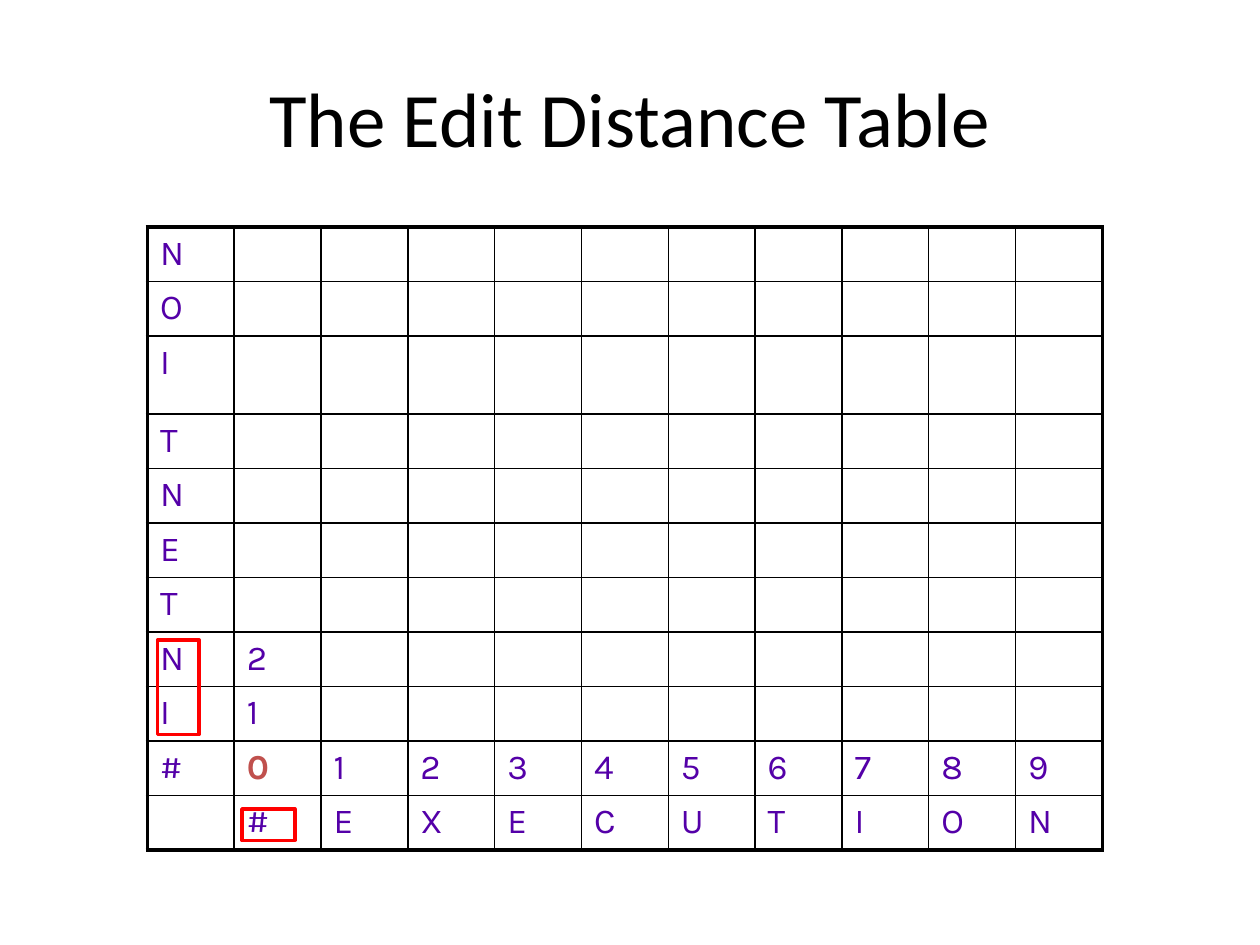
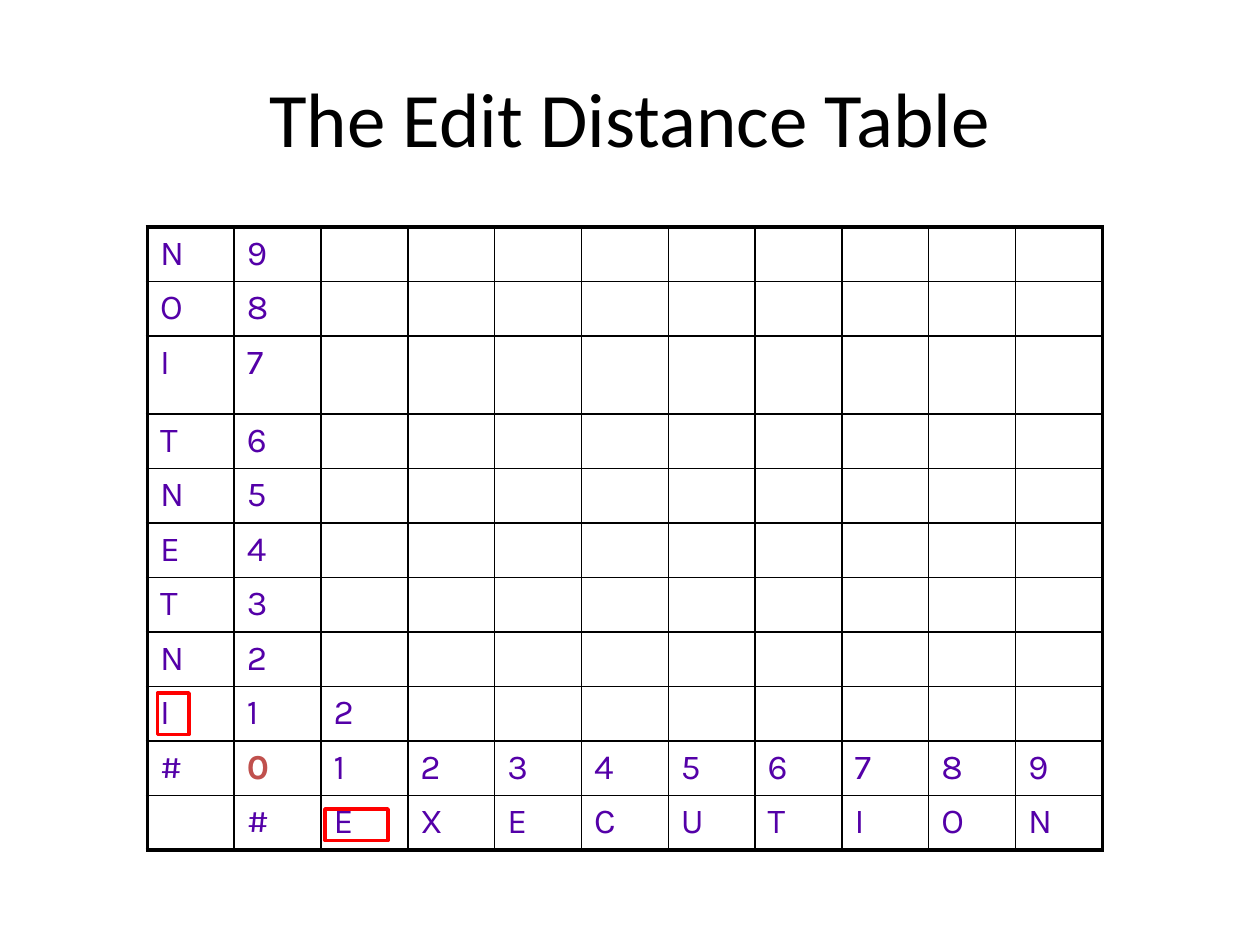
from dataclasses import dataclass

from lxml.etree import SubElement
from pptx import Presentation
from pptx.dml.color import RGBColor
from pptx.enum.shapes import MSO_SHAPE as Shape
from pptx.enum.text import MSO_ANCHOR as Anchor, PP_ALIGN as Align
from pptx.oxml.ns import qn
from pptx.util import Inches, Pt


@dataclass(frozen=True)
class Theme:
    black: str = "000000"
    letter: str = "5400A8"
    origin: str = "C0504D"
    marker: str = "FF0000"
    title_font: str = "Calibri"
    table_font: str = "Karla"
    title_size: float = 44
    table_size: float = 20
    outer_line: float = 2.25
    inner_line: float = 1
    marker_line: float = 2


SOURCE = "#INTENTION"
TARGET = "#EXECUTION"
TABLE_LEFT, TABLE_TOP = 1.17, 1.8
TABLE_WIDTH, TABLE_HEIGHT = 7.58, 4.95
TALL_ROW, TALL_HEIGHT = 2, 0.62


def table_rows(known_rows, extra_costs):
    costs = {(0, column): column for column in range(len(TARGET))}
    costs.update({(row, 0): row for row in range(known_rows + 1)})
    costs.update(extra_costs)
    rows = [
        [SOURCE[row]] + [str(costs.get((row, column), "")) for column in range(len(TARGET))]
        for row in reversed(range(len(SOURCE)))
    ]
    return rows + [["", *TARGET]]


class SlideBuilder:
    def __init__(self, deck, theme):
        self.deck = deck
        self.theme = theme
        self.page = None

    def new_page(self):
        self.page = self.deck.slides.add_slide(self.deck.slide_layouts[5])

    def add_span(self, para, text, font, size, color, bold=False):
        span = para.add_run()
        span.text = text
        span.font.name = font
        span.font.size = Pt(size)
        span.font.bold = bold
        span.font.color.rgb = RGBColor.from_string(color)

    def title(self, text):
        box = self.page.shapes.title
        box.left, box.top = Inches(0.5), Inches(0.3)
        box.width, box.height = Inches(9), Inches(1.25)
        frame = box.text_frame
        frame.vertical_anchor = Anchor.MIDDLE
        para = frame.paragraphs[0]
        para.alignment = Align.CENTER
        self.add_span(para, text, self.theme.title_font, self.theme.title_size, self.theme.black)

    def cell_borders(self, cell, outer_edges):
        properties = cell._tc.get_or_add_tcPr()
        for edge, is_outer in outer_edges.items():
            width = self.theme.outer_line if is_outer else self.theme.inner_line
            line = SubElement(properties, qn(f"a:ln{edge}"), w=str(Pt(width)))
            fill = SubElement(line, qn("a:solidFill"))
            SubElement(fill, qn("a:srgbClr"), val=self.theme.black)

    def distance_table(self, rows):
        last_row, last_column = len(rows) - 1, len(rows[0]) - 1
        table = self.page.shapes.add_table(
            len(rows), len(rows[0]), Inches(TABLE_LEFT), Inches(TABLE_TOP),
            Inches(TABLE_WIDTH), Inches(TABLE_HEIGHT),
        ).table
        table.first_row = table.horz_banding = False
        for column in table.columns:
            column.width = Inches(TABLE_WIDTH / len(rows[0]))
        for index, row in enumerate(table.rows):
            regular = (TABLE_HEIGHT - TALL_HEIGHT) / last_row
            row.height = Inches(TALL_HEIGHT if index == TALL_ROW else regular)
        for r, texts in enumerate(rows):
            for c, text in enumerate(texts):
                cell = table.cell(r, c)
                self.cell_borders(cell, {
                    "L": c == 0, "R": c == last_column,
                    "T": r == 0, "B": r == last_row,
                })
                cell.fill.background()
                if text:
                    is_origin = text == "0"
                    color = self.theme.origin if is_origin else self.theme.letter
                    self.add_span(cell.text_frame.paragraphs[0], text, self.theme.table_font,
                                  self.theme.table_size, color, is_origin)

    def marker(self, left, top, width, height):
        box = self.page.shapes.add_shape(
            Shape.RECTANGLE, Inches(left), Inches(top), Inches(width), Inches(height))
        box.shadow.inherit = False
        box.fill.background()
        box.line.color.rgb = RGBColor.from_string(self.theme.marker)
        box.line.width = Pt(self.theme.marker_line)


STEPS = [
    (2, {}, [(1.25, 5.08, 0.33, 0.75), (1.92, 6.42, 0.42, 0.25)]),
    (9, {(1, 1): 2}, [(1.25, 5.5, 0.25, 0.33), (2.58, 6.42, 0.5, 0.25)]),
]


def main():
    deck = Presentation()
    deck.slide_width, deck.slide_height = Inches(10), Inches(7.5)
    builder = SlideBuilder(deck, Theme())
    for known_rows, extra_costs, markers in STEPS:
        builder.new_page()
        builder.title("The Edit Distance Table")
        builder.distance_table(table_rows(known_rows, extra_costs))
        for bounds in markers:
            builder.marker(*bounds)
    deck.save("out.pptx")


if __name__ == "__main__":
    main()
